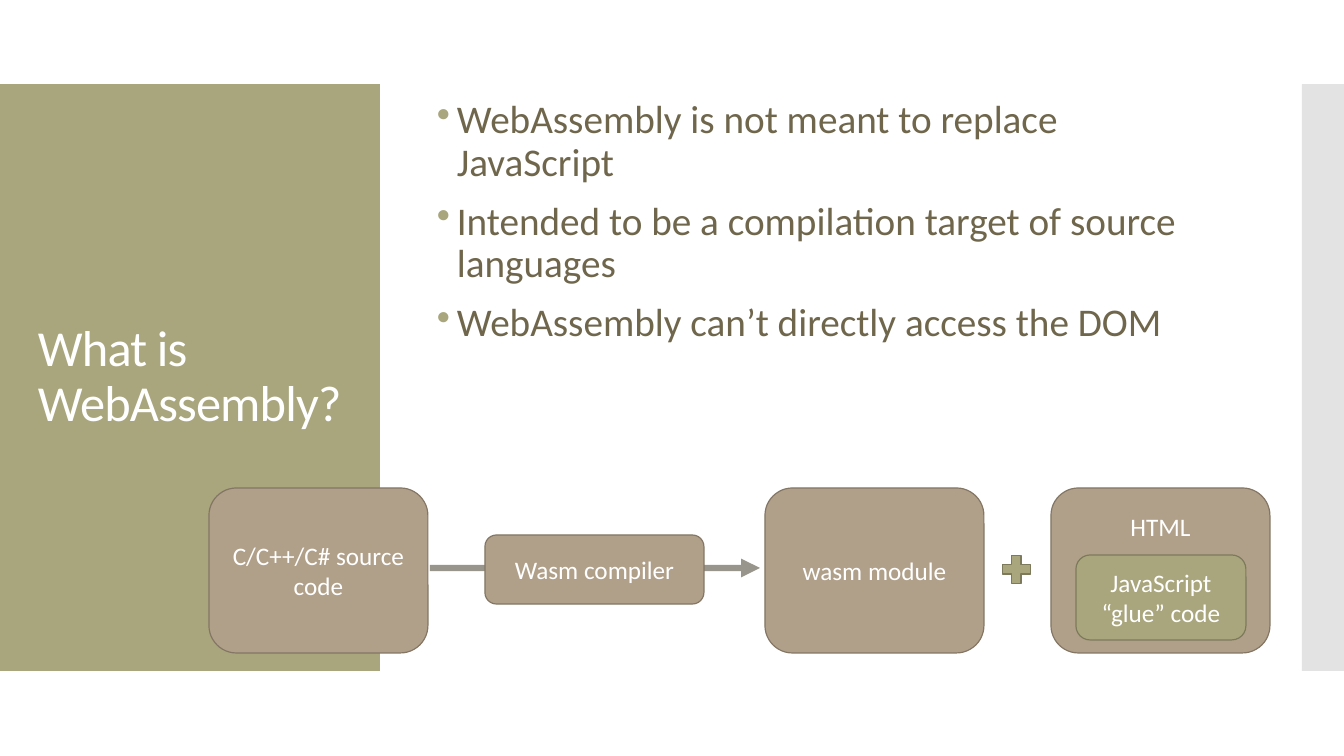
"""Build the slide that explains what WebAssembly is."""
import dataclasses

import pptx
import pptx.dml.color
import pptx.enum.shapes
import pptx.enum.text
import pptx.oxml.ns
import pptx.util
from lxml import etree

SHAPES = pptx.enum.shapes.MSO_SHAPE
ALIGN = pptx.enum.text.PP_ALIGN
ANCHOR = pptx.enum.text.MSO_ANCHOR


@dataclasses.dataclass(frozen=True)
class Theme:
    """Colours, font and type sizes of the slide."""
    font: str = "Calibri"
    green: str = "A9A57C"
    green_line: str = "7D7A5C"
    taupe: str = "B1A089"
    taupe_line: str = "837665"
    grey: str = "C8C8C8"
    arrow: str = "322C1C"
    white: str = "FFFFFF"
    body: str = "6F664C"
    title_size: int = 36
    body_size: int = 28
    box_size: int = 18
    outline: float = 0.85
    arrow_width: float = 4.5


THEME = Theme()
EMU_PER_PIXEL = 914400 / 100.8


def px(pixels):
    """Turn pixels into EMU."""
    return pptx.util.Emu(round(pixels * EMU_PER_PIXEL))


def rgb(colour):
    """Turn a hex string into a colour."""
    return pptx.dml.color.RGBColor.from_string(colour)


def add_xml(parent, tag, **attributes):
    """Append a DrawingML element to a parent."""
    return etree.SubElement(parent, pptx.oxml.ns.qn(tag), attributes)


def make_half_transparent(element):
    """Give the first solid colour in an element half its opacity."""
    colour = next(element.iter(pptx.oxml.ns.qn("a:srgbClr")))
    add_xml(colour, "a:alpha", val="50000")


def add_run(paragraph, text, size, colour):
    """Add one formatted run and return it."""
    run = paragraph.add_run()
    run.text = text
    run.font.name = THEME.font
    run.font.size = pptx.util.Pt(size)
    run.font.color.rgb = rgb(colour)
    return run


def add_panel(slide, kind, bounds, fill, line=None):
    """Add a filled preset shape, outlined if a line colour is given."""
    shape = slide.shapes.add_shape(kind, *map(px, bounds))
    shape.shadow.inherit = False
    shape.fill.solid()
    shape.fill.fore_color.rgb = rgb(fill)
    if line:
        shape.line.color.rgb = rgb(line)
        shape.line.width = pptx.util.Pt(THEME.outline)
    else:
        shape.line.fill.background()
    return shape


def add_box(slide, bounds, text, fill=THEME.taupe, line=THEME.taupe_line):
    """Add a rounded box with a centred label and return its text frame."""
    shape = add_panel(slide, SHAPES.ROUNDED_RECTANGLE, bounds, fill, line)
    frame = shape.text_frame
    frame.word_wrap = True
    frame.vertical_anchor = ANCHOR.MIDDLE
    paragraph = frame.paragraphs[0]
    paragraph.alignment = ALIGN.CENTER
    add_run(paragraph, text, THEME.box_size, THEME.white)
    return frame


def add_text_frame(slide, bounds, anchor):
    """Add a wrapping text box and return its text frame."""
    frame = slide.shapes.add_textbox(*map(px, bounds)).text_frame
    frame.word_wrap = True
    frame.vertical_anchor = anchor
    return frame


def add_title(slide, bounds, text):
    """Add the slide title with slightly tightened letters."""
    paragraph = add_text_frame(slide, bounds, ANCHOR.MIDDLE).paragraphs[0]
    paragraph.line_spacing = 0.9
    run = add_run(paragraph, text, THEME.title_size, THEME.white)
    run.font._element.set("spc", "-60")


def add_bullets(slide, bounds, lines):
    """Add a bulleted list with a hanging indent."""
    frame = add_text_frame(slide, bounds, ANCHOR.TOP)
    for index, text in enumerate(lines):
        paragraph = frame.add_paragraph() if index else frame.paragraphs[0]
        paragraph.line_spacing = 0.9
        paragraph.space_before = pptx.util.Pt(12)
        properties = paragraph._p.get_or_add_pPr()
        properties.set("marL", str(px(20)))
        properties.set("indent", str(px(-20)))
        bullet_colour = add_xml(properties, "a:buClr")
        add_xml(bullet_colour, "a:srgbClr", val=THEME.green)
        add_xml(properties, "a:buChar", char="•")
        add_run(paragraph, text, THEME.body_size, THEME.body)


def add_arrow(slide, left, right, y):
    """Add a horizontal translucent arrow."""
    connector = slide.shapes.add_connector(
        pptx.enum.shapes.MSO_CONNECTOR.STRAIGHT, px(left), px(y), px(right), px(y))
    connector.line.color.rgb = rgb(THEME.arrow)
    connector.line.width = pptx.util.Pt(THEME.arrow_width)
    outline = connector.line._get_or_add_ln()
    make_half_transparent(outline)
    add_xml(outline, "a:tailEnd", type="triangle")
    add_xml(connector._element.spPr, "a:effectLst")


def add_pipeline(slide):
    """Add the path from source code to a module used by a page."""
    top, width, height = 488, 219, 165
    add_arrow(slide, 430, 760, 568)
    add_box(slide, (209, top, width, height), "C/C++/C# source code")
    add_box(slide, (485, 535, width, 69), "Wasm compiler")
    add_box(slide, (765, top, width, height), "wasm module")
    page = add_box(slide, (1051, top, width, height), "HTML")
    page.vertical_anchor = ANCHOR.TOP
    page.margin_top = px(15)
    add_box(slide, (1076, 555, 170, 85), "JavaScript “glue” code",
            THEME.green, THEME.green_line)
    add_panel(slide, SHAPES.MATH_PLUS, (997, 550, 39, 39),
              THEME.green, THEME.green_line)


def main():
    """Build and save the presentation."""
    presentation = pptx.Presentation()
    presentation.slide_width = px(1344)
    presentation.slide_height = px(756)
    slide = presentation.slides.add_slide(presentation.slide_layouts[6])
    add_panel(slide, SHAPES.RECTANGLE, (0, 84, 380, 587), THEME.green)
    side_bar = add_panel(slide, SHAPES.RECTANGLE, (1302, 84, 42, 587), THEME.grey)
    make_half_transparent(side_bar._element.spPr)
    add_title(slide, (28, 124, 334, 507), "What is WebAssembly?")
    add_bullets(slide, (427, 95, 806, 564), (
        "WebAssembly is not meant to replace JavaScript",
        "Intended to be a compilation target of source languages",
        "WebAssembly can’t directly access the DOM",
    ))
    add_pipeline(slide)
    presentation.save("out.pptx")


main()
